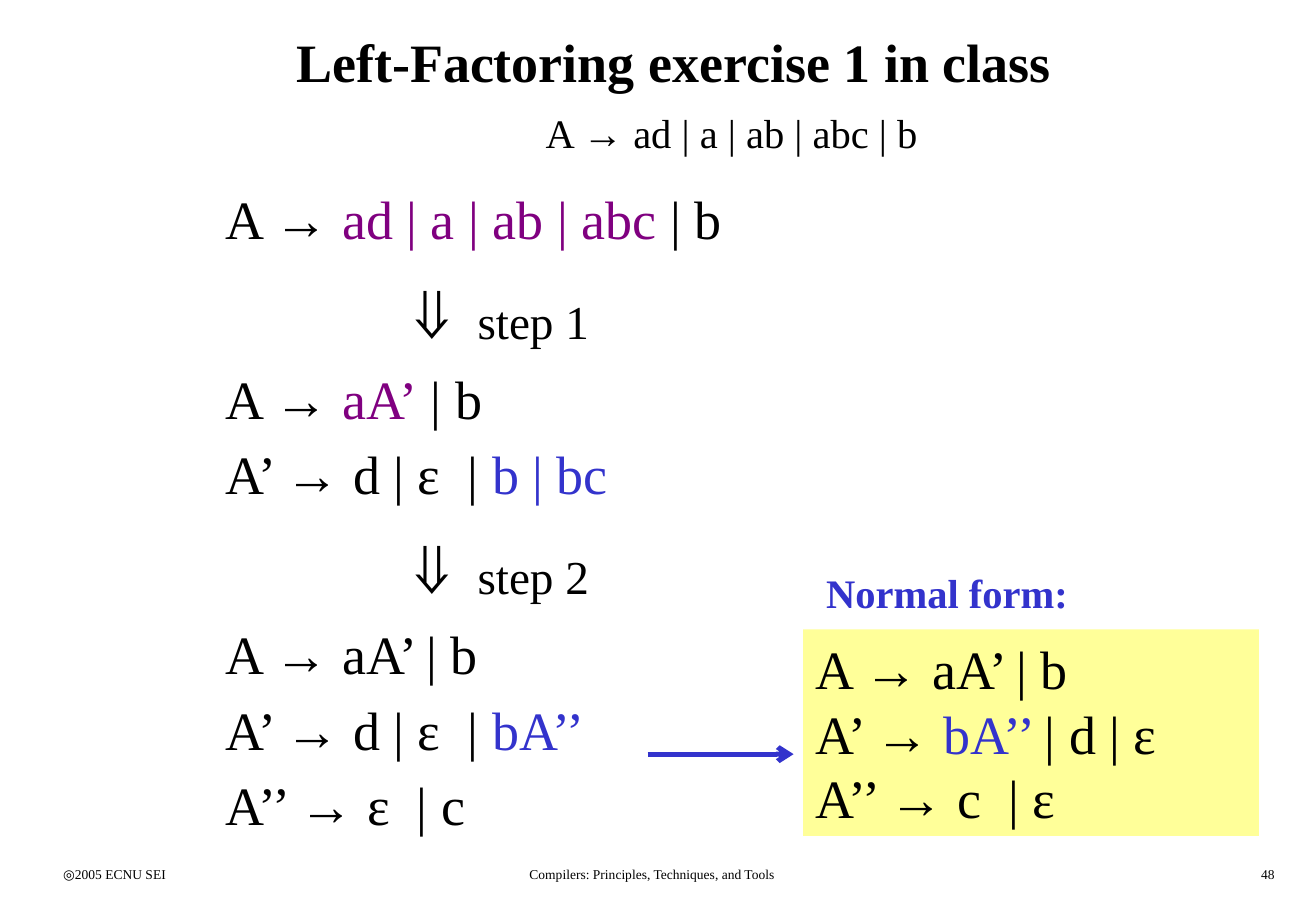
from dataclasses import dataclass

from lxml import etree
from pptx import Presentation
from pptx import util as u
from pptx.dml.color import RGBColor
from pptx.enum import shapes, text
from pptx.oxml import ns

Cm, Pt = u.Cm, u.Pt
FONT = "Times New Roman"
BLACK = RGBColor(0x00, 0x00, 0x00)
PURPLE = RGBColor(0x80, 0x00, 0x80)
BLUE = RGBColor(0x33, 0x33, 0xCC)
YELLOW = RGBColor(0xFF, 0xFF, 0x99)
STEP_INDENT = 3.77


@dataclass(frozen=True)
class Span:
    text: str
    color: RGBColor = BLACK
    size: float = 32
    bold: bool = False


@dataclass(frozen=True)
class Line:
    spans: tuple[Span, ...]
    indent: float = 0


@dataclass(frozen=True)
class Footer:
    text: str
    left: float
    width: float
    align: text.PP_ALIGN


def line(*spans: Span) -> Line:
    return Line(spans)


def step(number: int) -> Line:
    return Line((Span("⇓ ", size=44), Span(f"step {number}", size=28)), STEP_INDENT)


RULE = [line(Span("A → ad | a | ab | abc | b", size=24))]
DERIVATION = [
    line(Span("A → "), Span("ad | a | ab | abc", PURPLE), Span(" | b")),
    step(1),
    line(Span("A → "), Span("aA’", PURPLE), Span(" | b")),
    line(Span("A’ → d | ε  | "), Span("b | bc", BLUE)),
    step(2),
    line(Span("A → aA’ | b")),
    line(Span("A’ → d | ε  | "), Span("bA’’", BLUE)),
    line(Span("A’’ → ε  | c")),
]
NORMAL_FORM = [
    line(Span("A → aA’ | b")),
    line(Span("A’ → "), Span("bA’’ ", BLUE), Span("| d | ε")),
    line(Span("A’’ → c  | ε")),
]
FOOTERS = [
    Footer("◎2005 ECNU SEI", 1.07, 5.74, text.PP_ALIGN.LEFT),
    Footer("Compilers: Principles, Techniques, and Tools", 8.48, 10.31, text.PP_ALIGN.CENTER),
    Footer("48", 21.16, 5.74, text.PP_ALIGN.RIGHT),
]


def place(sp, left: float, top: float, width: float, height: float) -> None:
    sp.left, sp.top, sp.width, sp.height = Cm(left), Cm(top), Cm(width), Cm(height)


def write(tf, lines: list[Line], align=text.PP_ALIGN.LEFT, wrap: bool = True) -> None:
    """Fill a text frame with unbulleted lines of formatted spans."""
    tf.word_wrap = wrap
    tf.auto_size = text.MSO_AUTO_SIZE.NONE
    for i, ln in enumerate(lines):
        p = tf.add_paragraph() if i else tf.paragraphs[0]
        p.alignment = align
        if not i:
            p.space_before = Pt(0)
        pPr = p._p.get_or_add_pPr()
        pPr.set("marL", str(Cm(ln.indent)))
        pPr.set("indent", "0")
        etree.SubElement(pPr, ns.qn("a:buNone"))
        for span in ln.spans:
            r = p.add_run()
            r.text = span.text
            r.font.name = FONT
            r.font.size = Pt(span.size)
            r.font.bold = span.bold
            r.font.color.rgb = span.color


def add_text_box(s, left: float, top: float, width: float, height: float):
    return s.shapes.add_textbox(Cm(left), Cm(top), Cm(width), Cm(height)).text_frame


def add_arrow(s, x1: float, x2: float, y: float) -> None:
    cxn = s.shapes.add_connector(shapes.MSO_CONNECTOR.STRAIGHT, Cm(x1), Cm(y), Cm(x2), Cm(y))
    cxn.line.color.rgb = BLUE
    cxn.line.width = Pt(3)
    etree.SubElement(cxn.line._get_or_add_ln(), ns.qn("a:tailEnd"), type="arrow")
    etree.SubElement(cxn._element.spPr, ns.qn("a:effectLst"))


def add_normal_form(s) -> None:
    write(add_text_box(s, 17.02, 11.76, 5.56, 1.27),
          [line(Span("Normal form:", BLUE, 24, True))], wrap=False)
    sp = s.shapes.add_shape(shapes.MSO_SHAPE.RECTANGLE, Cm(16.79), Cm(13.16), Cm(9.53), Cm(4.32))
    sp.shadow.inherit = False
    sp.fill.solid()
    sp.fill.fore_color.rgb = YELLOW
    sp.line.fill.background()
    sp.text_frame.vertical_anchor = text.MSO_ANCHOR.TOP
    write(sp.text_frame, NORMAL_FORM)


def main() -> None:
    prs = Presentation()
    prs.slide_width, prs.slide_height = Cm(27.51), Cm(19.05)
    s = prs.slides.add_slide(prs.slide_layouts.get_by_name("Two Content"))
    title, rule, derivation = s.placeholders

    place(title, 1.07, 0.43, 26.04, 1.7)
    title.text_frame.vertical_anchor = text.MSO_ANCHOR.MIDDLE
    write(title.text_frame, [line(Span("Left-Factoring exercise 1 in class", bold=True))],
          text.PP_ALIGN.CENTER)
    place(rule, 11.15, 2.13, 10.95, 1.6)
    write(rule.text_frame, RULE)
    place(derivation, 4.45, 3.76, 11.3, 14.35)
    write(derivation.text_frame, DERIVATION)

    add_normal_form(s)
    add_arrow(s, 13.54, 16.59, 15.77)
    for footer in FOOTERS:
        write(add_text_box(s, footer.left, 17.98, footer.width, 0.64),
              [line(Span(footer.text, size=8))], footer.align)
    prs.save("out.pptx")


if __name__ == "__main__":
    main()
